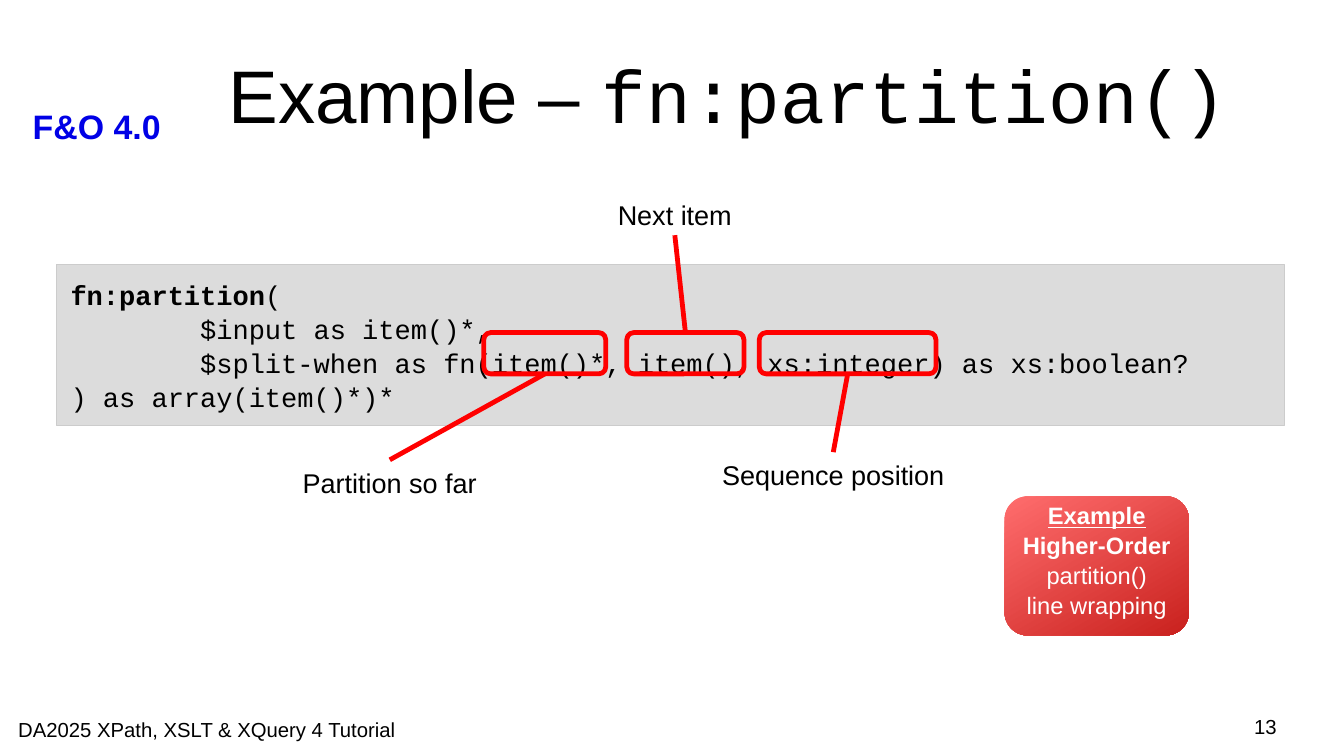
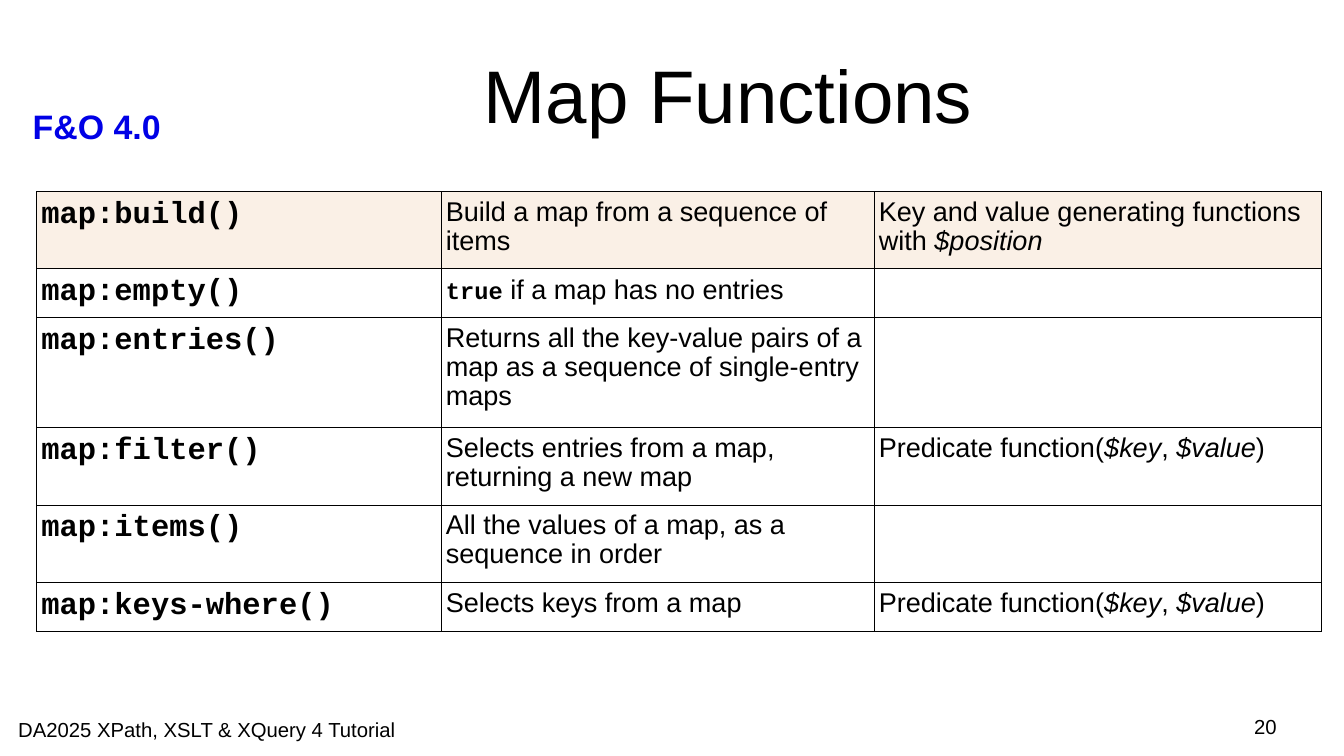
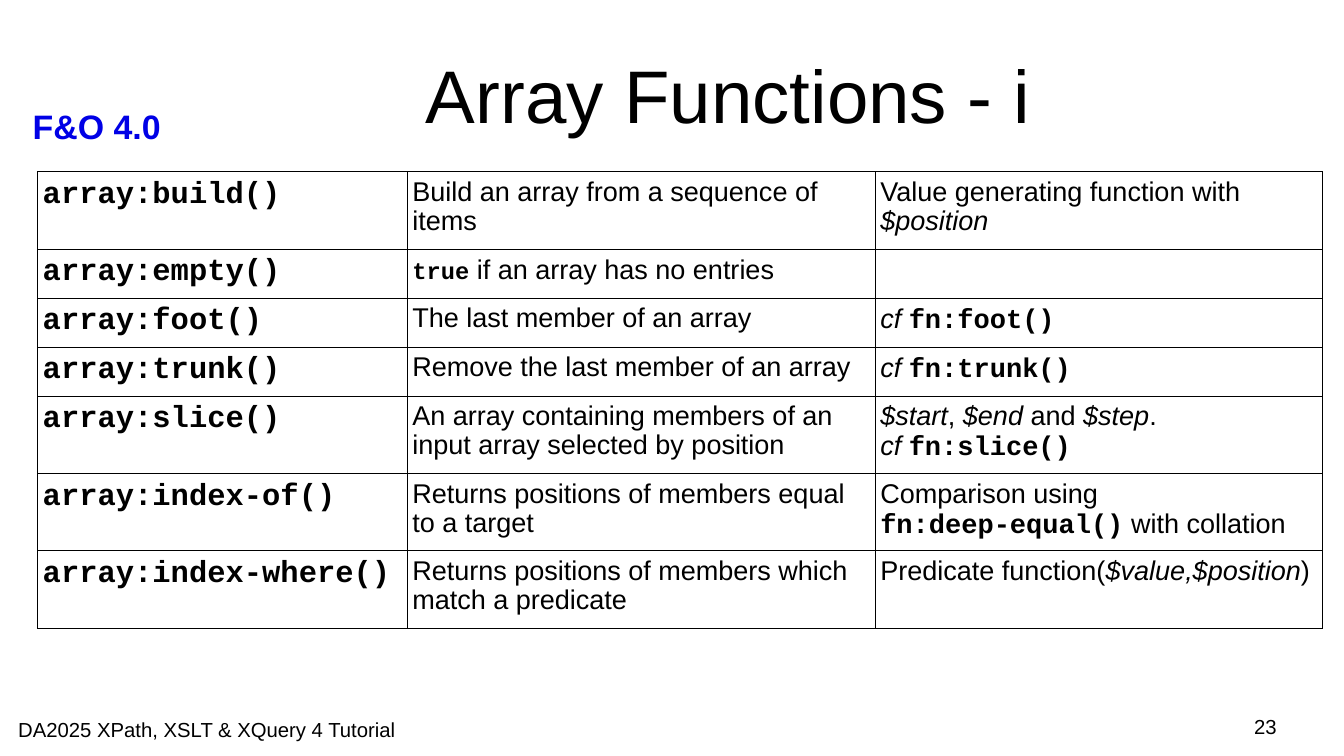
"""Build three tutorial slides on XPath partition, map and array functions."""
from lxml import etree
from pptx import Presentation
from pptx.dml.color import RGBColor
from pptx.enum import shapes, text
from pptx.oxml import ns
from pptx.util import Cm, Pt

COLOURS = {"ink": "000000", "tag": "0000E6", "white": "FFFFFF", "red": "FF0000",
           "code": "DCDCDC", "code_edge": "CCCCCC", "linen": "FAF0E6",
           "badge_light": "FF6D6D", "badge_dark": "C9211E"}
SANS, MONO = "Arial", "Courier New"
STYLES = {
    "title": {"size": Pt(44), "name": SANS},
    "title_code": {"size": Pt(44), "name": MONO},
    "tag": {"size": Pt(20), "name": SANS, "bold": True},
    "footer": {"size": Pt(12), "name": SANS},
    "body": {"size": Pt(16), "name": SANS},
    "var": {"size": Pt(16), "name": SANS, "italic": True},
    "code": {"size": Pt(16), "name": MONO},
    "fn": {"size": Pt(16), "name": MONO, "bold": True},
    "literal": {"size": Pt(14), "name": MONO, "bold": True},
    "name": {"size": Pt(18), "name": MONO, "bold": True},
    "badge": {"size": Pt(14), "name": SANS},
    "badge_bold": {"size": Pt(14), "name": SANS, "bold": True},
    "badge_head": {"size": Pt(14), "name": SANS, "bold": True, "underline": True},
}
LEFT, CENTRE, RIGHT = text.PP_ALIGN.LEFT, text.PP_ALIGN.CENTER, text.PP_ALIGN.RIGHT
TOP, MIDDLE, BOTTOM = text.MSO_ANCHOR.TOP, text.MSO_ANCHOR.MIDDLE, text.MSO_ANCHOR.BOTTOM
NONE, LABEL_INSETS = (0, 0), (0.25, 0.13)

TAG = "F&O 4.0"
FOOTER = "DA2025 XPath, XSLT & XQuery 4 Tutorial"

SIGNATURE = [
    ("fn:partition", "fn"),
    ("""(
        $input as item()*,
        $split-when as fn(item()*, item(), xs:integer) as xs:boolean?
) as array(item()*)*""", "code"),
]
BADGE = [("Example\n", "badge_head"), ("Higher-Order\n", "badge_bold"),
         ("partition()\nline wrapping", "badge")]
FRAME_TOP, FRAME_HEIGHT = 6.93, 0.86
CALLOUTS = [
    {"label": "Partition so far", "at": (5.72, 9.58, 4.8, 0.91), "frame": (10.08, 2.54)},
    {"label": "Sequence position", "at": (14.5, 9.42, 5.72, 0.89), "frame": (15.82, 3.68)},
    {"label": "Next item", "at": (11.2, 4.01, 5.72, 0.89), "frame": (13.06, 2.44)},
]

KEY_VALUE = ["Predicate function(", ("$key", "var"), ", ", ("$value", "var"), ")"]
MAP_TABLE = {
    "at": (0.76, 3.99), "columns": (8.43, 9.02, 9.32), "tinted": {0},
    "rows": [
        (2, "map:build()", ["Build a map from a sequence of items"],
         ["Key and value generating functions with ", ("$position", "var")]),
        (1, "map:empty()", [("true", "literal"), " if a map has no entries"], []),
        (3, "map:entries()", ["Returns all the key-value pairs of a map as a "
                              "sequence of single-entry maps"], []),
        (2, "map:filter()", ["Selects entries from a map, returning a new map"], KEY_VALUE),
        (2, "map:items()", ["All the values of a map, as a sequence in order"], []),
        (1, "map:keys-where()", ["Selects keys from a map"], KEY_VALUE),
    ],
}
ARRAY_TABLE = {
    "at": (0.79, 3.58), "columns": (7.7, 9.75, 9.32), "tinted": set(),
    "rows": [
        (2, "array:build()", ["Build an array from a sequence of items"],
         ["Value generating function with ", ("$position", "var")]),
        (1, "array:empty()", [("true", "literal"), " if an array has no entries"], []),
        (1, "array:foot()", ["The last member of an array"],
         [("cf ", "var"), ("fn:foot()", "fn")]),
        (1, "array:trunk()", ["Remove the last member of an array"],
         [("cf ", "var"), ("fn:trunk()", "fn")]),
        (2, "array:slice()", ["An array containing members of an input array "
                              "selected by position"],
         [("$start", "var"), ", ", ("$end", "var"), " and ", ("$step", "var"), ".\n",
          ("cf ", "var"), ("fn:slice()", "fn")]),
        (2, "array:index-of()", ["Returns positions of members equal to a target"],
         ["Comparison using\n", ("fn:deep-equal()", "fn"), " with collation"]),
        (2, "array:index-where()", ["Returns positions of members which match a predicate"],
         ["Predicate function(", ("$value,$position", "var"), ")"]),
    ],
}
ROW_HEIGHTS = {1: 1.02, 2: 1.61, 3: 2.29}


def rgb(name):
    return RGBColor.from_string(COLOURS[name])


def write(frame, spans, colour="ink", align=LEFT, spacing=None):
    paras = [frame.paragraphs[0]]
    for item in spans:
        words, style = (item, "body") if isinstance(item, str) else item
        for number, line in enumerate(words.split("\n")):
            if number:
                paras.append(frame.add_paragraph())
            if line:
                span = paras[-1].add_run()
                span.text = line
                for key, value in STYLES[style].items():
                    setattr(span.font, key, value)
                span.font.color.rgb = rgb(colour)
    for para in paras:
        para.alignment = align
        if spacing:
            para.line_spacing = spacing


def set_frame(frame, insets, anchor):
    across, down = map(Cm, insets)
    settings = {"word_wrap": True, "vertical_anchor": anchor,
                "margin_left": across, "margin_right": across,
                "margin_top": down, "margin_bottom": down}
    for key, value in settings.items():
        setattr(frame, key, value)


def add_text(page, at, spans, insets=NONE, anchor=TOP, **look):
    box = page.shapes.add_textbox(*map(Cm, at))
    set_frame(box.text_frame, insets, anchor)
    write(box.text_frame, spans, **look)
    return box


def add_box(page, kind, at):
    box = page.shapes.add_shape(kind, *map(Cm, at))
    box.shadow.inherit = False
    return box


def add_page(deck, title, number):
    page = deck.slides.add_slide(deck.slide_layouts[6])
    add_text(page, (0.43, 2.08, 3.6, 1.04), [(TAG, "tag")], LABEL_INSETS, colour="tag")
    add_text(page, (3.76, 0.64, 22.83, 2.64), title, anchor=MIDDLE, align=CENTRE)
    add_text(page, (0.38, 14.94, 8.86, 0.48), [(FOOTER, "footer")])
    add_text(page, (20.07, 14.88, 6.53, 0.61), [(str(number), "footer")], align=RIGHT)
    return page


def add_badge(page):
    badge = add_box(page, shapes.MSO_SHAPE.ROUNDED_RECTANGLE, (20.93, 10.34, 3.84, 2.9))
    badge.line.fill.background()
    badge.fill.gradient()
    badge.fill.gradient_angle = 300
    for stop, colour, position in zip(badge.fill.gradient_stops,
                                      ("badge_light", "badge_dark"), (0, 1)):
        stop.color.rgb = rgb(colour)
        stop.position = position
    set_frame(badge.text_frame, (0.2, 0.2), BOTTOM)
    write(badge.text_frame, BADGE, "white", CENTRE, 1.05)


def add_signature(page):
    panel = add_box(page, shapes.MSO_SHAPE.RECTANGLE, (1.17, 5.51, 25.58, 3.35))
    panel.fill.solid()
    panel.fill.fore_color.rgb = rgb("code")
    panel.line.color.rgb = rgb("code_edge")
    panel.line.width = Pt(0.25)
    set_frame(panel.text_frame, (0.3, 0.3), MIDDLE)
    write(panel.text_frame, SIGNATURE, spacing=1.05)


def add_callout(page, callout):
    label = add_text(page, callout["at"], [callout["label"]], LABEL_INSETS, align=CENTRE)
    left, width = callout["frame"]
    frame = add_box(page, shapes.MSO_SHAPE.ROUNDED_RECTANGLE,
                    (left, FRAME_TOP, width, FRAME_HEIGHT))
    frame.fill.background()
    link = page.shapes.add_connector(shapes.MSO_CONNECTOR.STRAIGHT, 0, 0, 0, 0)
    top_site, bottom_site = 0, 2
    above = label.top < frame.top
    link.begin_connect(label, bottom_site if above else top_site)
    link.end_connect(frame, top_site if above else bottom_site)
    etree.SubElement(link._element.spPr, ns.qn("a:effectLst"))
    for part in (frame, link):
        part.line.color.rgb = rgb("red")
        part.line.width = Pt(2.83)


def add_borders(cell):
    props = cell._tc.get_or_add_tcPr()
    for place, side in enumerate(("lnL", "lnR", "lnT", "lnB")):
        edge = etree.Element(ns.qn("a:" + side), w=str(Pt(0.57)))
        fill = etree.SubElement(edge, ns.qn("a:solidFill"))
        etree.SubElement(fill, ns.qn("a:srgbClr"), val=COLOURS["ink"])
        props.insert(place, edge)


def add_function_table(page, content):
    rows, columns = content["rows"], content["columns"]
    heights = [ROW_HEIGHTS[row[0]] for row in rows]
    place = (*content["at"], sum(columns), sum(heights))
    table = page.shapes.add_table(len(rows), len(columns), *map(Cm, place)).table
    table.first_row = table.horz_banding = False
    for column, width in zip(table.columns, columns):
        column.width = Cm(width)
    for index, (_, name, *details) in enumerate(rows):
        table.rows[index].height = Cm(heights[index])
        for cell, spans in zip(table.rows[index].cells, [[(name, "name")], *details]):
            cell.margin_left = cell.margin_right = Cm(0.1)
            cell.margin_top = cell.margin_bottom = Cm(0.13)
            if index in content["tinted"]:
                cell.fill.solid()
                cell.fill.fore_color.rgb = rgb("linen")
            else:
                cell.fill.background()
            add_borders(cell)
            write(cell.text_frame, spans, spacing=0.97)


def main():
    deck = Presentation()
    deck.slide_width, deck.slide_height = Cm(28), Cm(15.75)
    page = add_page(deck, [("Example – ", "title"), ("fn:partition()", "title_code")], 13)
    add_badge(page)
    add_signature(page)
    for callout in CALLOUTS:
        add_callout(page, callout)
    for title, number, content in (("Map Functions", 20, MAP_TABLE),
                                   ("Array Functions - i", 23, ARRAY_TABLE)):
        add_function_table(add_page(deck, [(title, "title")], number), content)
    deck.save("out.pptx")


if __name__ == "__main__":
    main()
